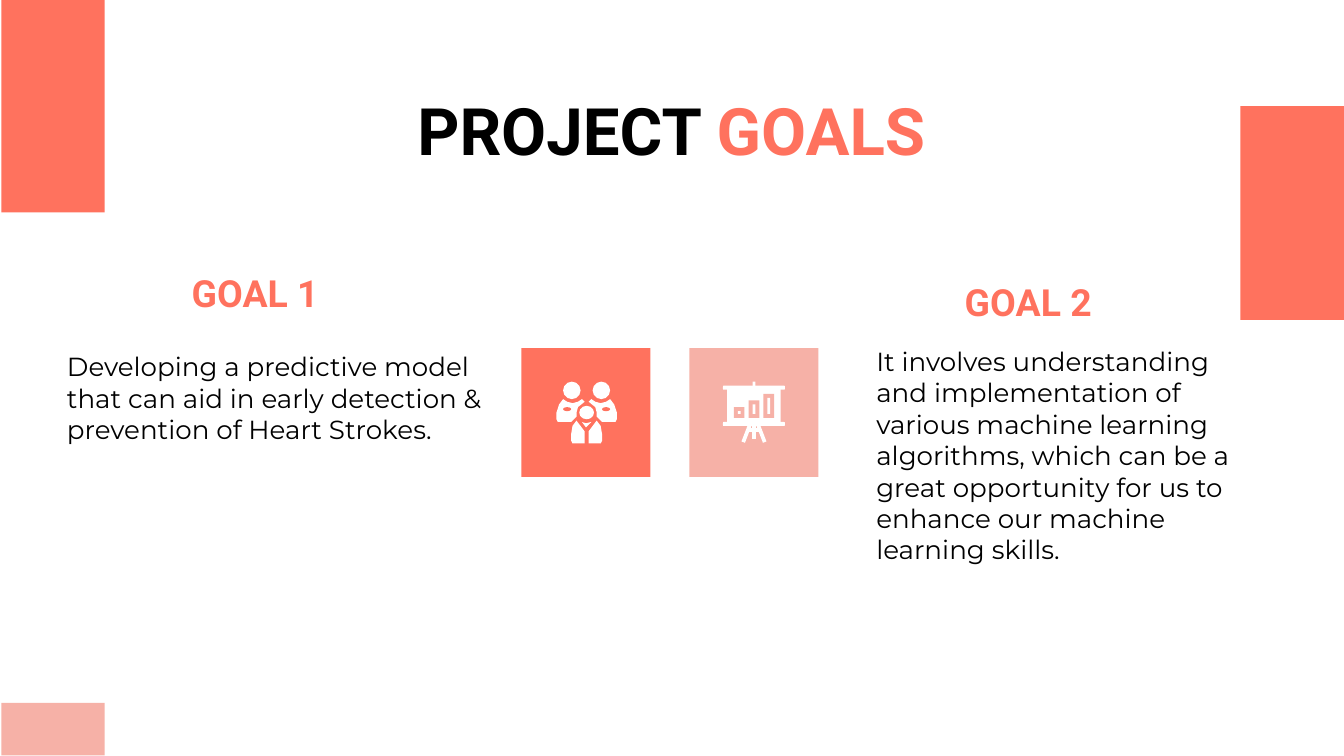
from pptx import Presentation
from pptx.dml.color import RGBColor
from pptx.enum.shapes import MSO_CONNECTOR as Line, MSO_SHAPE as Shape
from pptx.enum.text import MSO_ANCHOR as Anchor, PP_ALIGN as Align
from pptx.oxml import parse_xml
from pptx.util import Inches, Pt

CORAL, PINK, WHITE, BLACK = "FF725E", "F6B1A7", "FFFFFF", "000000"
HEAD, BODY = "Roboto", "Montserrat"
A_NS = "http://schemas.openxmlformats.org/drawingml/2006/main"


def color(code):
    return RGBColor.from_string(code)


def paint(shape, fill):
    shape.shadow.inherit = False
    shape.fill.solid()
    shape.fill.fore_color.rgb = color(fill)
    shape.line.fill.background()


def block(slide, x, y, w, h, fill, kind=Shape.RECTANGLE):
    shape = slide.shapes.add_shape(kind, Inches(x), Inches(y), Inches(w), Inches(h))
    paint(shape, fill)


def outline(slide, x, y, points, fill):
    spots = [(Inches(x + dx), Inches(y + dy)) for dx, dy in points]
    pen = slide.shapes.build_freeform(*spots[0])
    pen.add_line_segments(spots[1:], close=True)
    paint(pen.convert_to_shape(), fill)


def stroke(slide, x1, y1, x2, y2, width, fill):
    line = slide.shapes.add_connector(
        Line.STRAIGHT, Inches(x1), Inches(y1), Inches(x2), Inches(y2))
    line.line.width = Pt(width)
    line.line.color.rgb = color(fill)
    line._element.spPr.append(parse_xml(f'<a:effectLst xmlns:a="{A_NS}"/>'))


def write(slide, box, *runs, shape=None, size=14, font=BODY, bold=False,
          align=Align.LEFT, anchor=Anchor.TOP, left=0.1, right=0.1):
    """Each run is a (text, color) pair."""
    x, y, w, h = map(Inches, box)
    if shape is None:
        shape = slide.shapes.add_textbox(x, y, w, h)
    shape.left, shape.top, shape.width, shape.height = x, y, w, h
    frame = shape.text_frame
    frame.word_wrap = True
    frame.vertical_anchor = anchor
    frame.margin_left, frame.margin_right = Inches(left), Inches(right)
    frame.margin_top = frame.margin_bottom = Inches(0.1)
    para = frame.paragraphs[0]
    para.alignment = align
    for text, fill in runs:
        run = para.add_run()
        run.text = text
        run.font.size, run.font.name, run.font.bold = Pt(size), font, bold
        run.font.color.rgb = color(fill)


def goal(slide, head, box, name, text, align=Align.LEFT, **form):
    write(slide, head, (name, CORAL), size=20, font=HEAD, bold=True,
          align=align, anchor=Anchor.BOTTOM)
    write(slide, box, (text, BLACK), **form)


def family(slide, x, y, side):
    block(slide, x, y, side, side, CORAL)
    adult = [(0.31, 0.38), (0.28, 0.42), (0.26, 0.48), (0.26, 0.53), (0.27, 0.55),
             (0.37, 0.55), (0.41, 0.51), (0.41, 0.48), (0.42, 0.44), (0.47, 0.4),
             (0.45, 0.38), (0.42, 0.4), (0.38, 0.41), (0.34, 0.4)]
    child = [(0.41, 0.54), (0.38, 0.58), (0.37, 0.64), (0.37, 0.69), (0.38, 0.71),
             (0.47, 0.71), (0.47, 0.62)]
    # Left half, then its mirror
    for flip in (False, True):
        for part in (adult, child):
            points = [(0.97 - px if flip else px, py) for px, py in part]
            outline(slide, x, y, points, WHITE)
        shift = 0.22 if flip else 0
        block(slide, x + 0.31 + shift, y + 0.25, 0.13, 0.13, WHITE, Shape.OVAL)
        badge = 0.6 if flip else 0.31
        block(slide, x + badge, y + 0.44, 0.06, 0.03, CORAL, Shape.OVAL)
    # Child's head and collar
    block(slide, x + 0.43, y + 0.43, 0.11, 0.1, WHITE, Shape.OVAL)
    outline(slide, x, y, [(0.45, 0.55), (0.48, 0.59), (0.52, 0.55), (0.48, 0.56)], WHITE)


def board(slide, x, y, side):
    block(slide, x, y, side, side, PINK)
    # Screen with its rails and hook
    block(slide, x + 0.28, y + 0.29, 0.4, 0.28, WHITE)
    for top in (0.28, 0.55):
        block(slide, x + 0.25, y + top, 0.46, 0.03, WHITE, Shape.ROUNDED_RECTANGLE)
    block(slide, x + 0.47, y + 0.25, 0.02, 0.04, WHITE)
    # Hollow bars standing on one base line
    for i, tall in enumerate((0.08, 0.13, 0.18)):
        left, top = x + 0.33 + 0.11 * i, y + 0.52 - tall
        block(slide, left, top, 0.08, tall, PINK)
        block(slide, left + 0.03, top + 0.03, 0.02, tall - 0.06, WHITE)
    # Tripod
    mid = x + 0.48
    for way in (-1, 1):
        stroke(slide, mid + 0.03 * way, y + 0.57, mid + 0.08 * way, y + 0.7, 2, WHITE)
    stroke(slide, mid, y + 0.57, mid, y + 0.68, 1.75, WHITE)
    stroke(slide, mid - 0.04, y + 0.61, mid + 0.04, y + 0.61, 2, WHITE)


def main():
    deck = Presentation()
    deck.slide_width = Inches(10)
    deck.slide_height = deck.slide_width * 9 // 16
    slide = deck.slides.add_slide(deck.slide_layouts[5])

    # Edge blocks
    block(slide, 0.01, -0.01, 0.77, 1.59, CORAL)
    block(slide, 9.23, 0.79, 0.77, 1.59, CORAL)
    block(slide, 0.01, 5.23, 0.77, 0.39, PINK)

    # Title
    write(slide, (0.65, 0.72, 8.69, 0.49), ("PROJECT ", BLACK), ("GOALS", CORAL),
          shape=slide.shapes.title, size=35, font=HEAD, bold=True,
          align=Align.CENTER, anchor=Anchor.MIDDLE)

    # Goals
    goal(slide, (0.07, 1.95, 2.4, 0.49), (0.4, 2.51, 3.3, 0.62), "GOAL 1",
         "Developing a predictive model that can aid in early detection & "
         "prevention of Heart Strokes.", align=Align.RIGHT)
    goal(slide, (7.08, 2.02, 2.4, 0.49), (5.92, 2.47, 3.61, 0.62), "GOAL 2",
         "It involves understanding and implementation of various machine "
         "learning algorithms, which can be a great opportunity for us to "
         "enhance our machine learning skills.", left=0.6, right=0.2)

    # Icon tiles
    family(slide, 3.88, 2.59, 0.96)
    board(slide, 5.13, 2.59, 0.96)

    deck.save("out.pptx")


if __name__ == "__main__":
    main()
